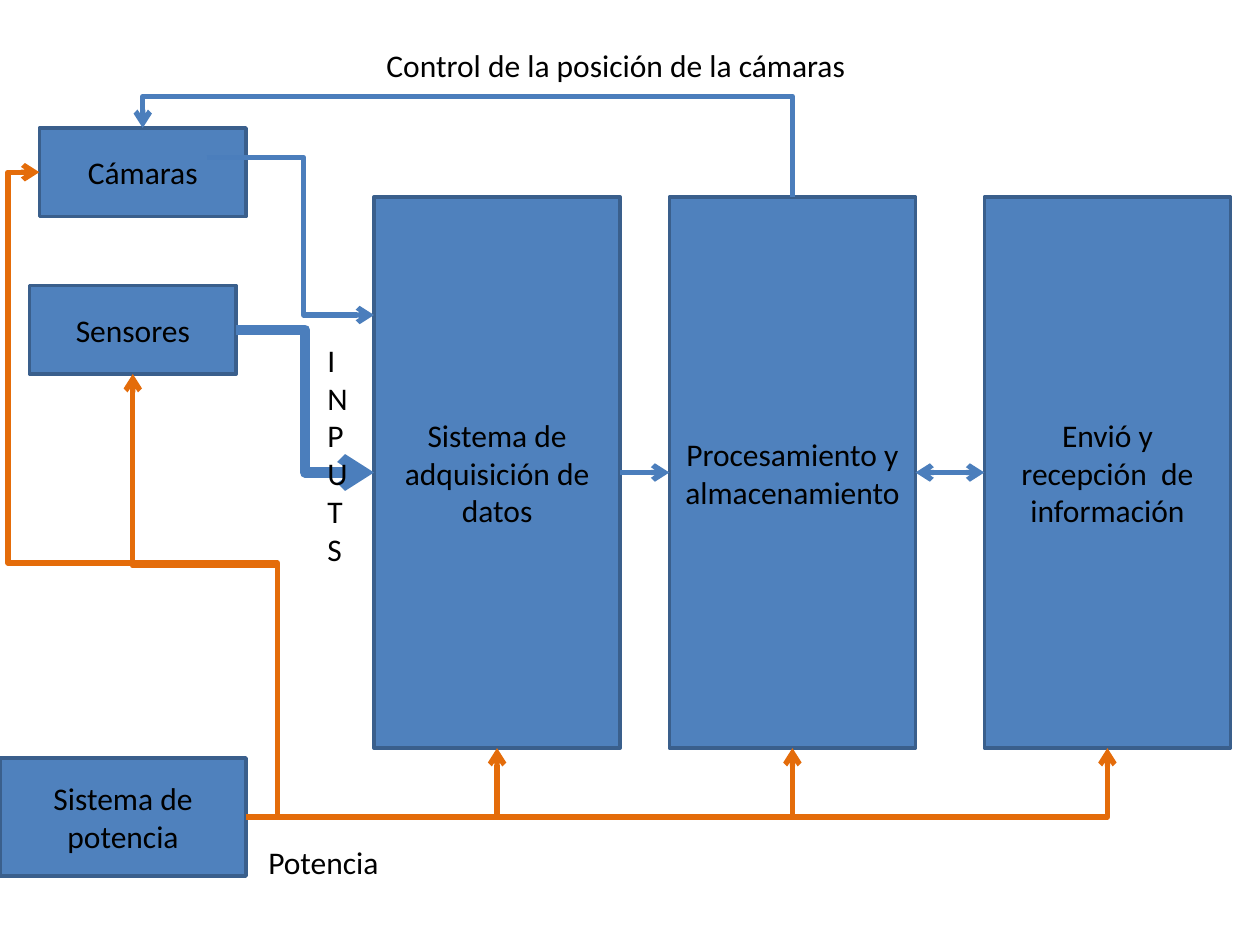
from lxml.etree import SubElement as Sub
from pptx import Presentation
from pptx.dml.color import RGBColor as Rgb
from pptx.enum.shapes import MSO_CONNECTOR as Link, MSO_SHAPE as Form
from pptx.enum.text import MSO_ANCHOR as Anchor, PP_ALIGN as Align
from pptx.oxml.ns import qn
from pptx.util import Inches, Pt

COLORS = {"fill": "4F81BD", "edge": "3A5F8C", "data": "4B7EBC",
          "power": "E46C0A", "text": "000000"}
COLS = 128  # square grid: 128 columns by 96 rows
WIDE, HIGH = Inches(10), Inches(7.5)
TOP, LEFT, BOTTOM, RIGHT = range(4)


def grid(*cells):
    return [round(cell * WIDE / COLS) for cell in cells]


def color(key):
    return Rgb.from_string(COLORS[key])


def write(frame, text, align):
    frame.text = text
    for par in frame.paragraphs:
        par.alignment = align
        par.font.size = Pt(18)
        par.font.name = "Calibri"
        par.font.color.rgb = color("text")


def block(slide, box, text):
    shape = slide.shapes.add_shape(Form.RECTANGLE, *grid(*box))
    shape.shadow.inherit = False
    shape.fill.solid()
    shape.fill.fore_color.rgb = color("fill")
    shape.line.color.rgb = color("edge")
    shape.line.width = Pt(2)
    shape.text_frame.word_wrap = True
    shape.text_frame.vertical_anchor = Anchor.MIDDLE
    write(shape.text_frame, text, Align.CENTER)
    return shape


def label(slide, box, text, wrap=False):
    area = slide.shapes.add_textbox(*grid(*box))
    area.text_frame.word_wrap = wrap
    write(area.text_frame, text, Align.LEFT)


def side(box, where):
    x, y, w, h = box
    return {TOP: (x + w / 2, y), LEFT: (x, y + h / 2),
            BOTTOM: (x + w / 2, y + h), RIGHT: (x + w, y + h / 2)}[where]


def style(wire, key, width, both=False):
    wire.line.color.rgb = color(key)
    wire.line.width = Pt(width)
    line = wire.line._ln
    for tag in ("a:headEnd", "a:tailEnd") if both else ("a:tailEnd",):
        Sub(line, qn(tag), type="arrow")
    Sub(wire._element.spPr, qn("a:effectLst"))


def straight(slide, first, last, both=False):
    """Join the facing sides of two blocks."""
    near, far = (LEFT, RIGHT) if first.left > last.left else (RIGHT, LEFT)
    wire = slide.shapes.add_connector(Link.STRAIGHT, 0, 0, 0, 0)
    wire.begin_connect(first, near)
    wire.end_connect(last, far)
    style(wire, "data", 3, both)


def elbow(slide, start, end, bends=(), key="power", width=3, rise=False):
    """Bends are the x and y of the inner legs in turn; rise starts upward."""
    (x1, y1), (x2, y2) = start, end
    ends = (x1, y1, x2, y2)
    if rise:  # lay the wire out sideways, then turn it a quarter
        mid_x, mid_y = (x1 + x2) / 2, (y1 + y2) / 2
        half_w, half_h = (y1 - y2) / 2, (x1 - x2) / 2
        ends = (mid_x - half_w, mid_y + half_h, mid_x + half_w, mid_y - half_h)
    wire = slide.shapes.add_connector(Link.ELBOW, *grid(*ends))
    if rise:
        wire._element.spPr.xfrm.set("rot", "16200000")
    shape = wire._element.spPr.find(qn("a:prstGeom"))
    shape.set("prst", f"bentConnector{len(bends) + 2}")
    guides = shape.find(qn("a:avLst"))
    for i, bend in enumerate(bends):
        axis = (i + rise) % 2
        share = (bend - start[axis]) / (end[axis] - start[axis])
        Sub(guides, qn("a:gd"), name=f"adj{i + 1}",
            fmla=f"val {round(share * 100000)}")
    style(wire, key, width)


def inputs(slide, box):
    """Cameras and sensors, with their lines to the stage on the right."""
    x, y, w, h = box
    camera, sensor = (x + 1, y, 21, 9), (x, y + 16, 21, 9)
    block(slide, camera, "Cámaras")
    block(slide, sensor, "Sensores")
    edge = x + w
    elbow(slide, (x + 18, y + 3), (edge, y + 19), [x + 27.85], "data")
    elbow(slide, side(sensor, RIGHT), (edge, y + h), [x + 28], "data", 6)
    label(slide, (x + 29, y + 21, 3, 28.4), "I\nN\nP\nU\nT\nS", True)
    return camera, sensor


def stages(slide, box):
    """Three tall blocks in a row, linked at mid height."""
    x, y, w, h = box
    names = ("Sistema de adquisición de datos", "Procesamiento y almacenamiento",
             "Envió y recepción  de información")
    boxes = [(x + dx, y, 25, h) for dx in (0, 30, w - 25)]
    get, work, send = [block(slide, b, n) for b, n in zip(boxes, names)]
    straight(slide, get, work)
    straight(slide, send, work, both=True)
    return boxes


def power(slide, box, camera, sensor, tall):
    """Supply block and the lines that feed every other block."""
    x, y, w, h = box
    block(slide, box, "Sistema de potencia")
    label(slide, (x + w + 1, y + 8, 14, 5.1), "Potencia")
    root = side(box, RIGHT)
    trunk = x + w + 3.2
    elbow(slide, root, side(sensor, BOTTOM), [trunk, y - 19.5])
    elbow(slide, root, side(camera, LEFT), [trunk, y - 19.8, x + 0.8])
    for part in tall:
        elbow(slide, root, side(part, BOTTOM))


def control(slide, box, camera, work):
    """Feedback line from processing to the cameras, with its caption."""
    elbow(slide, side(work, TOP), side(camera, TOP), [box[1] + 5.8], "data",
          rise=True)
    label(slide, box, "Control de la posición de la cámaras")


def main():
    deck = Presentation()
    deck.slide_width, deck.slide_height = WIDE, HIGH
    slide = deck.slides.add_slide(deck.slide_layouts[6])
    tall = stages(slide, (38, 20, 87, 56))
    camera, sensor = inputs(slide, (3, 13, 35, 35))
    power(slide, (0, 77, 25, 12), camera, sensor, tall)
    control(slide, (38, 4, 49.8, 5.1), camera, tall[1])
    deck.save("out.pptx")


if __name__ == "__main__":
    main()
